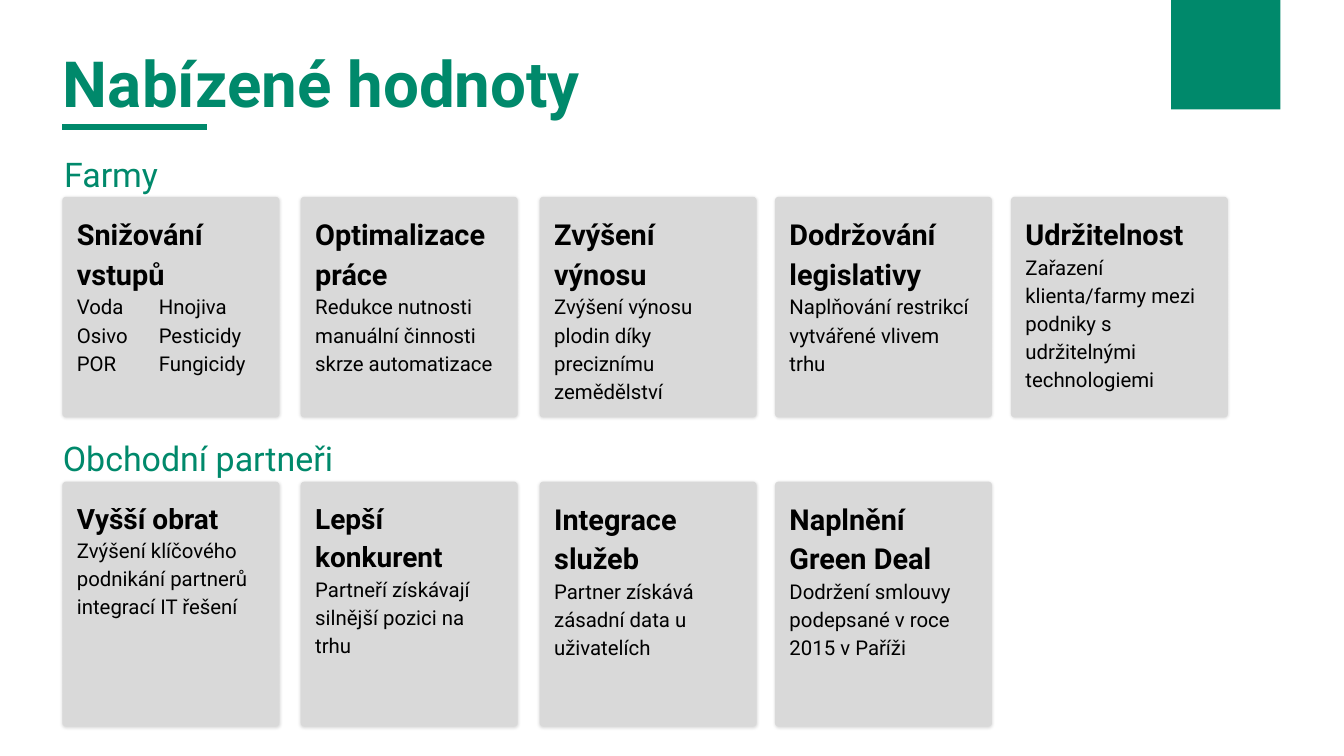
from lxml.etree import SubElement
from pptx import Presentation
from pptx.dml.color import RGBColor
from pptx.enum.shapes import MSO_CONNECTOR, MSO_SHAPE
from pptx.enum.text import MSO_ANCHOR, PP_ALIGN
from pptx.oxml.ns import qn
from pptx.util import Inches, Pt

GREEN = RGBColor(0x00, 0x89, 0x6B)
GREY = RGBColor(0xD9, 0xD9, 0xD9)
BLACK = RGBColor(0x00, 0x00, 0x00)

FONT = "Roboto"
COLUMNS = (1.02, 4.92, 8.83, 12.68, 16.54)
CARD_WIDTH = 3.55
CARD_INSET = 0.22
CORNER = 0.017
INPUT_TAB = 1.34

FARM_CARDS = (
    ("Snižování vstupů", 34, ("Voda\tHnojiva", "Osivo\tPesticidy", "POR\tFungicidy")),
    ("Optimalizace práce", 34, ("Redukce nutnosti manuální činnosti skrze automatizace",)),
    ("Zvýšení výnosu", 34, ("Zvýšení výnosu plodin díky preciznímu zemědělství",)),
    ("Dodržování legislativy", 34, ("Naplňování restrikcí vytvářené vlivem trhu",)),
    ("Udržitelnost", 34, ("Zařazení klienta/farmy mezi podniky s udržitelnými technologiemi",)),
)
PARTNER_CARDS = (
    ("Vyšší obrat", 33, ("Zvýšení klíčového podnikání partnerů integrací IT řešení",)),
    ("Lepší konkurent", 33, ("Partneří získávají silnější pozici na trhu",)),
    ("Integrace služeb", 34, ("Partner získává zásadní data u uživatelích",)),
    ("Naplnění Green Deal", 34, ("Dodržení smlouvy podepsané v roce 2015 v Paříži",)),
)


def apply_format(target, values):
    """Set every attribute of the target from a dict of format values."""
    for name, value in values.items():
        setattr(target, name, value)


def write_paragraph(paragraph, text, size, color, bold=False, spacing=1.0):
    """Write one left-aligned run into a paragraph."""
    apply_format(paragraph, {"alignment": PP_ALIGN.LEFT, "line_spacing": spacing})
    span = paragraph.add_run()
    span.text = text
    apply_format(span.font, {"name": FONT, "size": Pt(size), "bold": bold})
    span.font.color.rgb = color


def add_tab_stop(paragraph, position):
    """Give a paragraph one left tab stop."""
    stops = SubElement(paragraph._p.get_or_add_pPr(), qn("a:tabLst"))
    SubElement(stops, qn("a:tab"), pos=str(Inches(position)), algn="l")


def add_soft_shadow(shape):
    """Give a shape a faint shadow below it."""
    shape.shadow.inherit = False
    effects = shape._element.spPr.find(qn("a:effectLst"))
    shadow = SubElement(effects, qn("a:outerShdw"), blurRad=str(Pt(3.4)), dist=str(Pt(0.8)),
                        dir=str(89 * 60000), algn="tl", rotWithShape="0")
    color = SubElement(shadow, qn("a:srgbClr"), val=str(BLACK))
    SubElement(color, qn("a:alpha"), val="15000")


def add_filled_shape(page, kind, left, top, width, height, color):
    """Add a preset shape with a plain fill and no outline."""
    shape = page.shapes.add_shape(kind, Inches(left), Inches(top), Inches(width), Inches(height))
    shape.shadow.inherit = False
    shape.fill.solid()
    shape.fill.fore_color.rgb = color
    shape.line.fill.background()
    return shape


def add_heading(page, text, left, top, width, height, size, bold=False):
    """Add a green heading centred vertically in its box."""
    box = page.shapes.add_textbox(Inches(left), Inches(top), Inches(width), Inches(height))
    apply_format(box.text_frame, {
        "word_wrap": True, "vertical_anchor": MSO_ANCHOR.MIDDLE, "margin_left": Inches(0.01),
        "margin_top": Inches(0.02), "margin_right": 0, "margin_bottom": 0,
    })
    write_paragraph(box.text_frame.paragraphs[0], text, size, GREEN, bold)


def add_card(page, left, top, height, title, title_size, lines):
    """Add a rounded card with a bold title and its description."""
    card = add_filled_shape(page, MSO_SHAPE.ROUNDED_RECTANGLE, left, top, CARD_WIDTH, height, GREY)
    card.adjustments[0] = CORNER
    add_soft_shadow(card)
    frame = card.text_frame
    apply_format(frame, {"word_wrap": True, "vertical_anchor": MSO_ANCHOR.TOP})
    sides = ("left", "top", "right", "bottom")
    apply_format(frame, {f"margin_{side}": Inches(CARD_INSET) for side in sides})
    write_paragraph(frame.paragraphs[0], title, title_size, BLACK, True, 1.15)
    for line in lines:
        paragraph = frame.add_paragraph()
        if "\t" in line:
            add_tab_stop(paragraph, INPUT_TAB)
        write_paragraph(paragraph, line, 24, BLACK, spacing=1.15)


def add_card_row(page, top, height, cards):
    """Place a row of cards on the shared columns."""
    for left, card in zip(COLUMNS, cards):
        add_card(page, left, top, height, *card)


def add_rule(page, left, top, width):
    """Add the green rule under the slide title."""
    rule = page.shapes.add_connector(MSO_CONNECTOR.STRAIGHT, Inches(left), Inches(top),
                                     Inches(left + width), Inches(top))
    rule.line.color.rgb = GREEN
    rule.line.width = Pt(6.59)
    SubElement(rule._element.spPr, qn("a:effectLst"))


def main():
    """Build the slide of offered values and save it."""
    deck = Presentation()
    apply_format(deck, {"slide_width": Inches(21.99), "slide_height": Inches(12.37)})
    page = deck.slides.add_slide(deck.slide_layouts[6])
    add_heading(page, "Nabízené hodnoty", 1.02, 0.59, 16.05, 1.49, 75, True)
    add_rule(page, 1.02, 2.08, 2.36)
    add_filled_shape(page, MSO_SHAPE.RECTANGLE, 19.16, 0, 1.79, 1.79, GREEN)
    add_heading(page, "Farmy", 1.04, 2.44, 6.86, 0.78, 40)
    add_card_row(page, 3.22, 3.61, FARM_CARDS)
    add_heading(page, "Obchodní partneři", 1.02, 7.09, 6.86, 0.78, 40)
    add_card_row(page, 7.88, 4.01, PARTNER_CARDS)
    deck.save("out.pptx")


if __name__ == "__main__":
    main()
